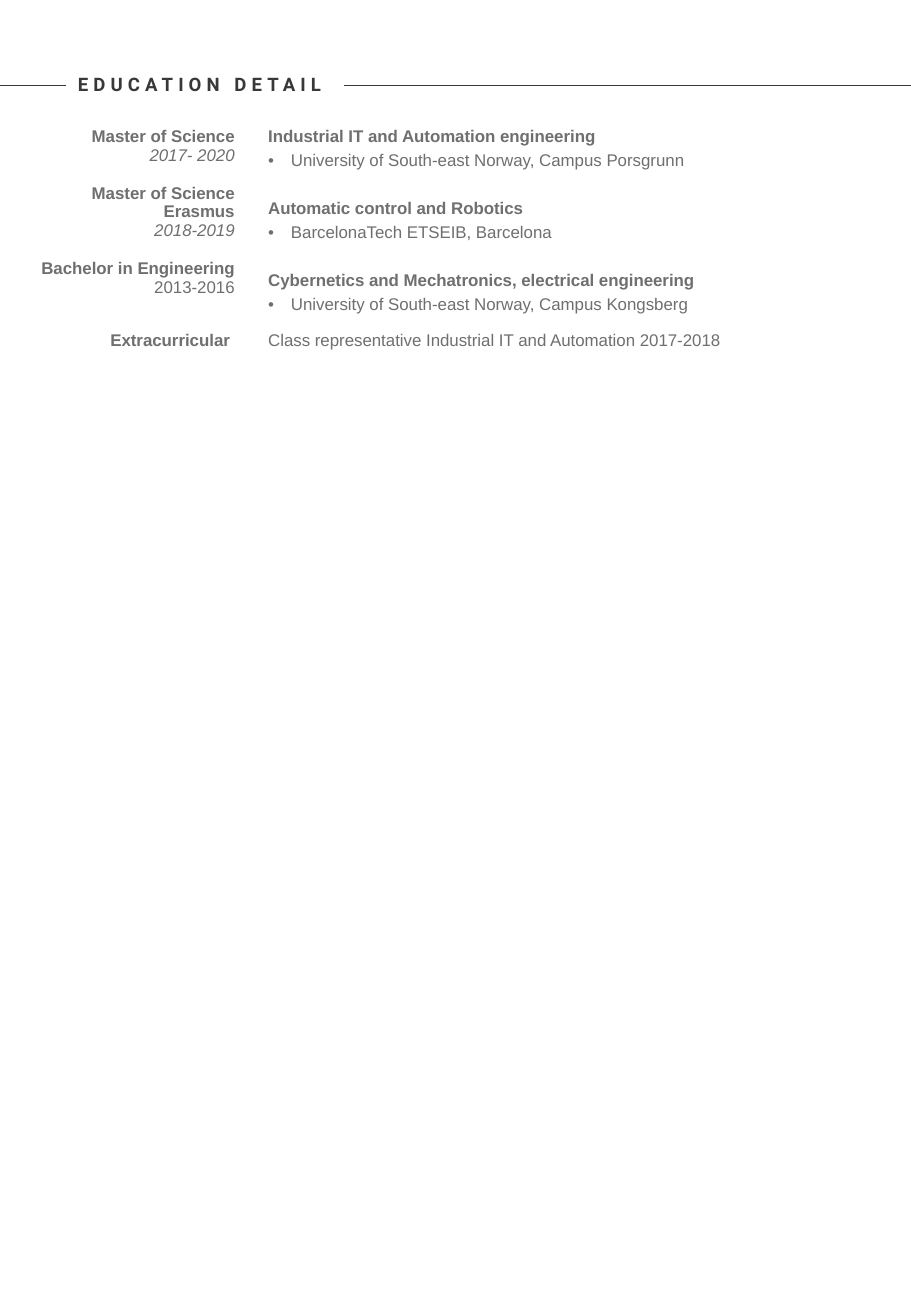
"""Build a portrait résumé page that lists education details."""
from lxml.etree import SubElement
from pptx import Presentation
from pptx.dml.color import RGBColor
from pptx.enum.shapes import MSO_CONNECTOR
from pptx.enum.text import MSO_ANCHOR, MSO_AUTO_SIZE, PP_ALIGN
from pptx.oxml.ns import qn
from pptx.util import Pt

DARK = RGBColor(0x38, 0x38, 0x38)
GREY = RGBColor(0x70, 0x6F, 0x6F)
WHITE = RGBColor(0xFF, 0xFF, 0xFF)

DEGREES = [
    ("Master of Science", "2017- 2020", True,
     "Industrial IT and Automation engineering",
     "University of South-east Norway, Campus Porsgrunn"),
    ("Master of Science Erasmus", "2018-2019", True,
     "Automatic control and Robotics",
     "BarcelonaTech ETSEIB, Barcelona"),
    ("Bachelor in Engineering", "2013-2016", False,
     "Cybernetics and Mechatronics, electrical engineering",
     "University of South-east Norway, Campus Kongsberg"),
]


def add_line(cell, text, bold=False, italic=False, gap=0):
    """Add one grey line to a table cell and return its paragraph."""
    frame = cell.text_frame
    first = frame.paragraphs[0]
    para = frame.add_paragraph() if first.runs else first
    para.space_before = Pt(gap)
    run = para.add_run()
    run.text = text
    font = run.font
    font.name, font.size = "Arial", Pt(10)
    font.bold, font.italic = bold, italic
    font.color.rgb = GREY
    return para


def set_indent(para, left, first=0):
    """Set the left margin and first-line indent of a detail line."""
    props = para._p.get_or_add_pPr()
    props.set("marL", str(Pt(left)))
    props.set("indent", str(Pt(first)))
    para.space_after = Pt(3)
    return props


deck = Presentation()
deck.slide_width, deck.slide_height = Pt(540), Pt(780)
slide = deck.slides.add_slide(deck.slide_layouts[5])
shapes = slide.shapes

title = shapes.title
title.left, title.top, title.width, title.height = Pt(39), Pt(36), Pt(173), Pt(29)
title.fill.solid()
title.fill.fore_color.rgb = WHITE
frame = title.text_frame
frame.word_wrap = True
frame.auto_size = MSO_AUTO_SIZE.NONE
frame.vertical_anchor = MSO_ANCHOR.MIDDLE
para = frame.paragraphs[0]
para.alignment = PP_ALIGN.LEFT
para.line_spacing = 0.9
run = para.add_run()
run.text = "EDUCATION DETAIL"
run.font.name, run.font.size, run.font.bold = "Roboto", Pt(11), True
run.font.color.rgb = DARK
run._r.get_or_add_rPr().set("spc", "300")

for start, end in [(0, 39), (204, 540)]:
    rule = shapes.add_connector(
        MSO_CONNECTOR.STRAIGHT, Pt(start), Pt(50.5), Pt(end), Pt(50.5))
    rule.line.color.rgb = DARK
    rule.line.width = Pt(0.5)
    SubElement(rule._element.spPr, qn("a:effectLst"))

table = shapes.add_table(2, 2, Pt(0), Pt(64), Pt(521), Pt(162)).table
table.first_row = table.horz_banding = False
for col, width in zip(table.columns, (142, 379)):
    col.width = Pt(width)
for row, height, top in zip(table.rows, (126, 36), (11.5, 6.5)):
    row.height = Pt(height)
    for cell, left in zip(row.cells, (11.5, 3.5)):
        cell.fill.background()
        cell.vertical_anchor = MSO_ANCHOR.TOP
        cell.margin_left, cell.margin_top = Pt(left), Pt(top)
        cell.margin_right, cell.margin_bottom = Pt(3), Pt(0)

award, field = table.cell(0, 0), table.cell(0, 1)
for index, (degree, years, slant, course, school) in enumerate(DEGREES):
    add_line(award, degree, bold=True, gap=11.2 if index else 0)
    add_line(award, years, italic=slant)
    set_indent(add_line(field, course, bold=True, gap=14.2 if index else 0), 13.5)
    props = set_indent(add_line(field, school), 27, -13.5)
    SubElement(props, qn("a:buFont"), typeface="Arial")
    SubElement(props, qn("a:buChar"), char="•")

extra, role = table.cell(1, 0), table.cell(1, 1)
add_line(extra, "Extracurricular ", bold=True)
set_indent(add_line(role, "Class representative Industrial IT and Automation 2017-2018"), 13.5)
for cell in (award, extra):
    for para in cell.text_frame.paragraphs:
        para.alignment = PP_ALIGN.RIGHT

deck.save("out.pptx")
